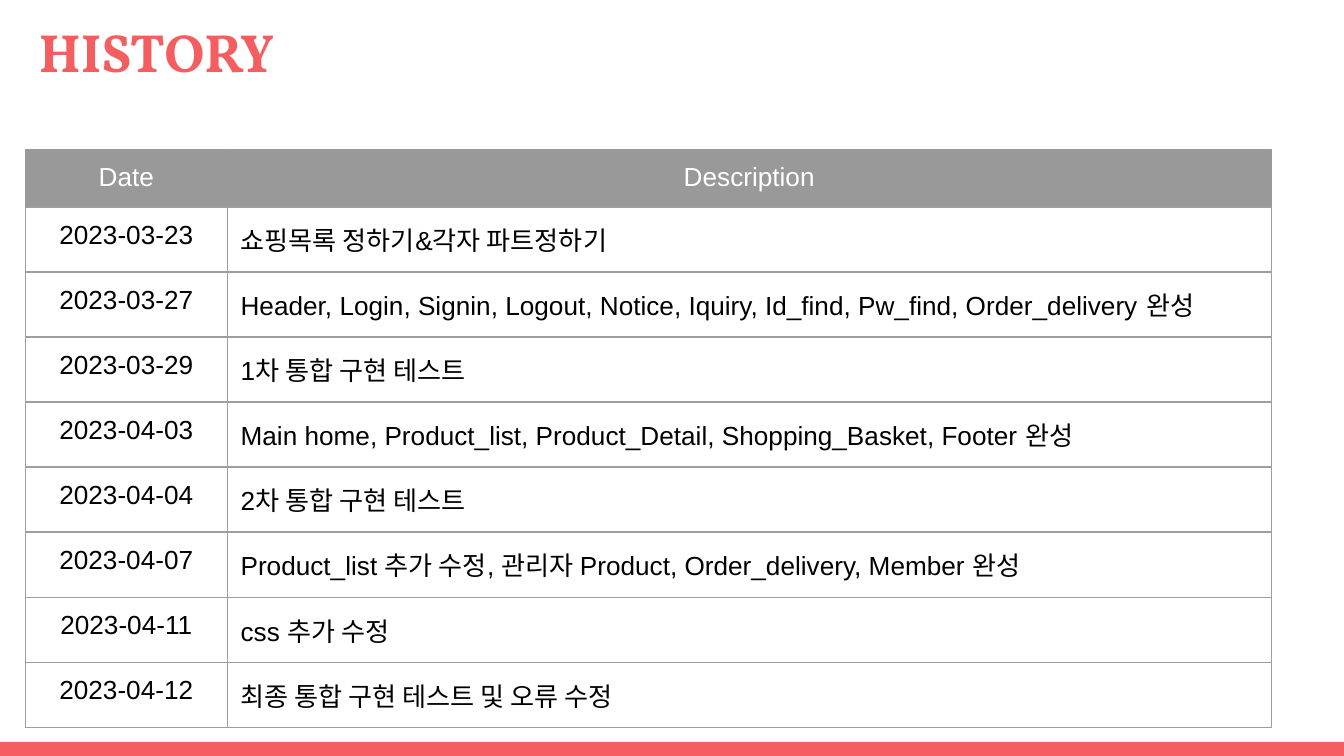
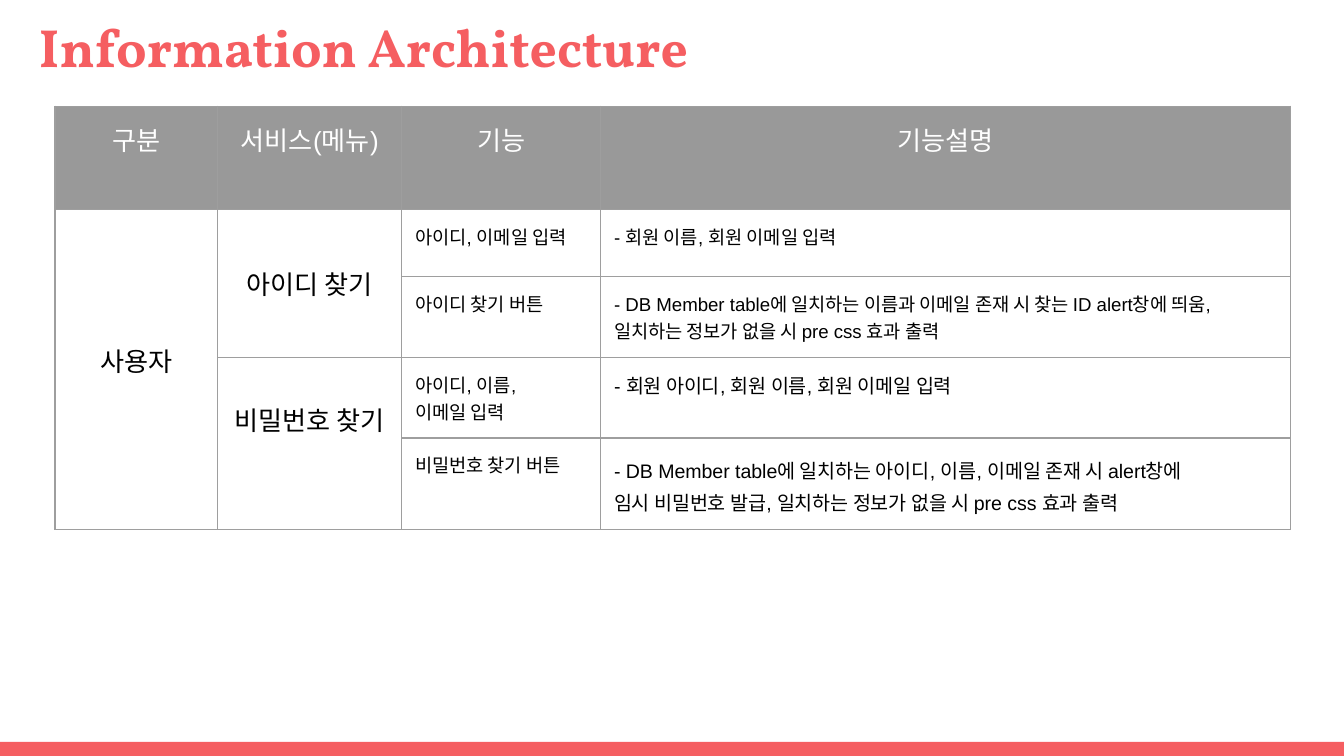
from lxml import etree
from pptx import Presentation
from pptx.dml.color import RGBColor
from pptx.enum.shapes import MSO_SHAPE
from pptx.enum.text import MSO_ANCHOR, MSO_AUTO_SIZE, PP_ALIGN
from pptx.oxml.ns import qn
from pptx.util import Inches, Pt

RECTANGLE = MSO_SHAPE.RECTANGLE
TOP = MSO_ANCHOR.TOP
NO_AUTOFIT = MSO_AUTO_SIZE.NONE
LEFT, CENTER = PP_ALIGN.LEFT, PP_ALIGN.CENTER

CORAL = RGBColor(0xF5, 0x5E, 0x61)
HEADER_GRAY = RGBColor(0x99, 0x99, 0x99)
BORDER_GRAY = RGBColor(0x9E, 0x9E, 0x9E)
WHITE = RGBColor(0xFF, 0xFF, 0xFF)
BLACK = RGBColor(0, 0, 0)

SLIDE_WIDTH = Inches(10)
SLIDE_HEIGHT = SLIDE_WIDTH * 9 // 16
INSET = 0.1
TITLE_FONT = {"name": "Vollkorn", "size": Pt(28.8), "bold": True}
HEADER = {"color": WHITE, "fill": HEADER_GRAY, "align": CENTER}
CENTERED = {"align": CENTER}
SMALL = {"size": 10}
MEDIUM = {"size": 10.5}


class Deck:
    def __init__(self):
        self.presentation = Presentation()
        self.presentation.slide_width = SLIDE_WIDTH
        self.presentation.slide_height = SLIDE_HEIGHT
        self.slide = None

    def add_slide(self, title, left, top, width):
        layout = self.presentation.slide_layouts[5]
        self.slide = self.presentation.slides.add_slide(layout)
        self.title(title, left, top, width)
        self.footer_band()

    def title(self, text, left, top, width):
        heading = self.slide.shapes.title
        box = {"left": left, "top": top, "width": width, "height": 0.68}
        for side, length in box.items():
            setattr(heading, side, Inches(length))
        frame = heading.text_frame
        frame.text = text
        frame.auto_size = NO_AUTOFIT
        frame.vertical_anchor = TOP
        self.margins(frame)
        self.format_text(frame, TITLE_FONT, CORAL, LEFT)

    def footer_band(self):
        band = self.slide.shapes.add_shape(
            RECTANGLE, 0, Inches(5.52), SLIDE_WIDTH, Inches(0.11))
        band.shadow.inherit = False
        band.fill.solid()
        band.fill.fore_color.rgb = CORAL
        band.line.fill.background()
        self.slide.shapes.title._element.addprevious(band._element)

    def margins(self, holder, top=INSET):
        for side in ("left", "right", "bottom"):
            setattr(holder, f"margin_{side}", Inches(INSET))
        holder.margin_top = Inches(top)

    def format_text(self, frame, font, color, align, spacing=None):
        for paragraph in frame.paragraphs:
            paragraph.alignment = align
            paragraph.line_spacing = spacing
            for run in paragraph.runs:
                for key, value in font.items():
                    setattr(run.font, key, value)
                run.font.color.rgb = color

    def table(self, left, top, columns, rows):
        table = self.slide.shapes.add_table(
            len(rows), len(columns), Inches(left), Inches(top),
            Inches(sum(columns)), Inches(sum(rows))).table
        table.first_row = table.horz_banding = False
        for column, width in zip(table.columns, columns):
            column.width = Inches(width)
        for row, height in zip(table.rows, rows):
            row.height = Inches(height)
        return table

    def cell(self, cell, text, size=14, color=BLACK, fill=None, align=LEFT,
             top=INSET, spacing=None, border=BORDER_GRAY):
        cell.text = text
        self.margins(cell, top)
        self.borders(cell, border)
        if fill is None:
            cell.fill.background()
        else:
            cell.fill.solid()
            cell.fill.fore_color.rgb = fill
        font = {"name": "Arial", "size": Pt(size)}
        self.format_text(cell.text_frame, font, color, align, spacing)

    def borders(self, cell, color):
        properties = cell._tc.get_or_add_tcPr()
        for side in ("lnL", "lnR", "lnT", "lnB"):
            line = etree.SubElement(properties, qn(f"a:{side}"), w=str(Pt(0.75)))
            solid = etree.SubElement(line, qn("a:solidFill"))
            etree.SubElement(solid, qn("a:srgbClr"), val=str(color))


def history(deck):
    deck.add_slide("HISTORY", 0.19, 0.04, 9.27)
    events = [
        ("2023-03-23", "쇼핑목록 정하기&각자 파트정하기"),
        ("2023-03-27", "Header, Login, Signin, Logout, Notice, Iquiry, "
                       "Id_find, Pw_find, Order_delivery 완성"),
        ("2023-03-29", "1차 통합 구현 테스트"),
        ("2023-04-03", "Main home, Product_list, Product_Detail, "
                       "Shopping_Basket, Footer 완성"),
        ("2023-04-04", "2차 통합 구현 테스트"),
        ("2023-04-07", "Product_list 추가 수정, 관리자 Product, "
                       "Order_delivery, Member 완성"),
        ("2023-04-11", "css 추가 수정"),
        ("2023-04-12", "최종 통합 구현 테스트 및 오류 수정"),
    ]
    heights = [0.43, 0.43, 0.38, 0.4] + [0.43] * 5
    table = deck.table(0.19, 1.11, [1.5, 7.77], heights)
    for column, label in enumerate(("Date", "Description")):
        deck.cell(table.cell(0, column), label, border=HEADER_GRAY, **HEADER)
    for row, (date, description) in enumerate(events, 1):
        deck.cell(table.cell(row, 0), date, **CENTERED)
        deck.cell(table.cell(row, 1), description)


def information_architecture(deck):
    deck.add_slide("Information Architecture", 0.19, 0, 9.54)
    table = deck.table(0.41, 0.79, [1.21, 1.37, 1.48, 5.13],
                       [0.4, 0.5, 0.58, 0.46, 0.51])
    for column, label in enumerate(("구분", "서비스(메뉴)", "기능", "기능설명")):
        deck.cell(table.cell(0, column), label, **HEADER)

    groups = [
        (1, 0, 4, "사용자", 0.98),
        (1, 1, 2, "아이디 찾기", 0.41),
        (3, 1, 2, "비밀번호 찾기", 0.32),
    ]
    for row, column, span, label, top in groups:
        for covered in range(row + 1, row + span):
            deck.borders(table.cell(covered, column), BORDER_GRAY)
        first = table.cell(row, column)
        first.merge(table.cell(row + span - 1, column))
        deck.cell(first, label, top=top, **CENTERED)

    features = [
        ("아이디, 이메일 입력", "- 회원 이름, 회원 이메일 입력", SMALL),
        ("아이디 찾기 버튼",
         "- DB Member table에 일치하는 이름과 이메일 존재 시 찾는 ID alert창에 띄움, "
         "일치하는 정보가 없을 시 pre css 효과 출력", SMALL),
        ("아이디, 이름,\n이메일 입력",
         "- 회원 아이디, 회원 이름, 회원 이메일 입력", MEDIUM),
        ("비밀번호 찾기 버튼",
         "- DB Member table에 일치하는 아이디, 이름, 이메일 존재 시 alert창에\v"
         "임시 비밀번호 발급, 일치하는 정보가 없을 시 pre css 효과 출력",
         {**MEDIUM, "spacing": 1.15}),
    ]
    for row, (feature, description, style) in enumerate(features, 1):
        deck.cell(table.cell(row, 2), feature, **SMALL)
        deck.cell(table.cell(row, 3), description, **style)


def main():
    deck = Deck()
    history(deck)
    information_architecture(deck)
    deck.presentation.save("out.pptx")


if __name__ == "__main__":
    main()
